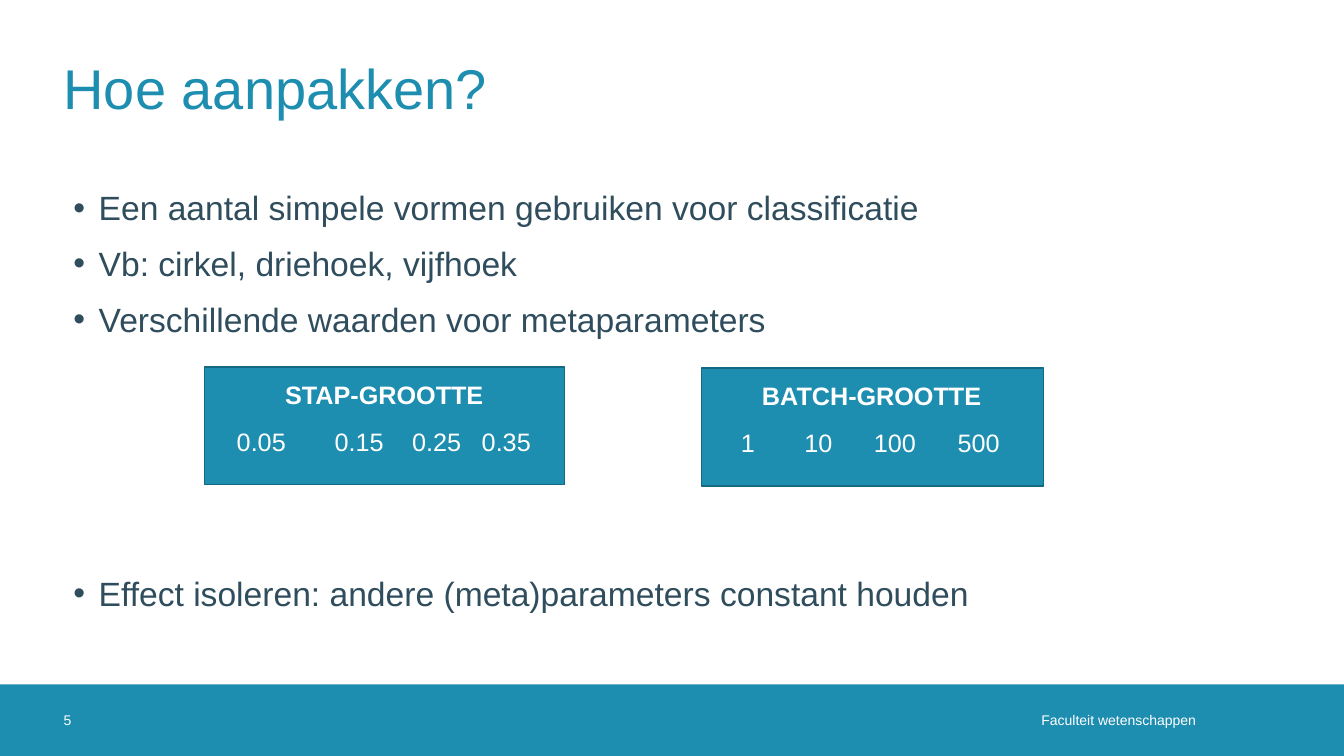
from dataclasses import dataclass

from lxml import etree
from pptx import Presentation
from pptx import util as u
from pptx.dml.color import RGBColor
from pptx.enum import shapes, text
from pptx.oxml.ns import qn

WIDE, HIGH = u.Inches(13.33), u.Inches(7.5)


@dataclass(frozen=True)
class Theme:
    font: str = "Arial"
    blue: str = "1D8DB0"
    edge: str = "156882"
    ink: str = "2F4D5D"
    white: str = "FFFFFF"
    title: int = 40
    body: int = 24
    card: int = 18
    foot: int = 10


@dataclass(frozen=True)
class Box:
    """An area in percent of the slide's width and height."""
    x: float
    y: float
    w: float
    h: float

    def inner(self, dx, dy, w, h):
        return Box(self.x + dx, self.y + dy, w, h)

    def emu(self):
        return (int(WIDE * self.x / 100), int(HIGH * self.y / 100),
                int(WIDE * self.w / 100), int(HIGH * self.h / 100))


T = Theme()
PAGE = Box(0, 0, 100, 100)


def rgb(code):
    return RGBColor.from_string(code)


def panel(slide, box, edge=None):
    rect = slide.shapes.add_shape(shapes.MSO_SHAPE.RECTANGLE, *box.emu())
    rect.shadow.inherit = False
    rect.fill.solid()
    rect.fill.fore_color.rgb = rgb(T.blue)
    if edge:
        rect.line.color.rgb = rgb(edge)
        rect.line.width = u.Pt(1)
    else:
        rect.line.fill.background()


def frame(slide, box, flush=False):
    """Add a text box; a flush one has no insets and is centred vertically."""
    tf = slide.shapes.add_textbox(*box.emu()).text_frame
    tf.word_wrap = True
    if flush:
        tf.margin_left = tf.margin_right = tf.margin_top = tf.margin_bottom = 0
        tf.vertical_anchor = text.MSO_ANCHOR.MIDDLE
    return tf


def write(para, words, size, color, bold=False):
    run = para.add_run()
    run.text = words
    run.font.name = T.font
    run.font.size = u.Pt(size)
    run.font.bold = bold
    run.font.color.rgb = rgb(color)


def bullet(para):
    props = para._p.get_or_add_pPr()
    props.set("marL", str(u.Inches(0.25)))
    props.set("indent", str(-u.Inches(0.25)))
    etree.SubElement(props, qn("a:buFont"), typeface=T.font)
    etree.SubElement(props, qn("a:buChar"), char="•")


def tabs(para, stops):
    props = para._p.get_or_add_pPr()
    row = etree.SubElement(props, qn("a:tabLst"))
    for stop in stops:
        etree.SubElement(row, qn("a:tab"), pos=str(u.Inches(stop)), algn="l")


def title(slide, box, words):
    write(frame(slide, box, True).paragraphs[0], words, T.title, T.blue)


def points(slide, box, items):
    """Write bullets, each given with the space before it in points."""
    tf = frame(slide, box)
    for i, (words, gap) in enumerate(items):
        para = tf.add_paragraph() if i else tf.paragraphs[0]
        para.space_before = u.Pt(gap)
        bullet(para)
        write(para, words, T.body, T.ink)


def card(slide, box, head, inset, values, start, stops):
    """Draw a panel with a heading and one row of tabbed values."""
    panel(slide, box, T.edge)
    label = frame(slide, box.inner(inset, 0.93, 24.23, 5.33))
    write(label.paragraphs[0], head, T.card, T.white, True)
    para = frame(slide, box.inner(start, 7.2, 24.23, 5.33)).paragraphs[0]
    tabs(para, stops)
    write(para, "\t".join(values), T.card, T.white)


def footer(slide, box, number, name):
    panel(slide, box)
    tf = frame(slide, box.inner(4.73, 0, 5.33, box.h), True)
    write(tf.paragraphs[0], number, T.foot, T.white)
    tf = frame(slide, box.inner(49.51, 0, 40.96, box.h), True)
    tf.margin_right = u.Inches(0.2)
    tf.paragraphs[0].alignment = text.PP_ALIGN.RIGHT
    write(tf.paragraphs[0], name, T.foot, T.white)


def main():
    deck = Presentation()
    deck.slide_width, deck.slide_height = WIDE, HIGH
    slide = deck.slides.add_slide(deck.slide_layouts[6])
    footer(slide, PAGE.inner(0, 90.53, 100, 9.47), "5",
           "Faculteit wetenschappen")
    title(slide, PAGE.inner(4.73, 3.07, 90.55, 16.8), "Hoe aanpakken?")
    points(slide, PAGE.inner(4.73, 24.13, 90.55, 65.07), [
        ("Een aantal simpele vormen gebruiken voor classificatie", 11),
        ("Vb: cirkel, driehoek, vijfhoek", 11),
        ("Verschillende waarden voor metaparameters", 11),
        ("Effect isoleren: andere (meta)parameters constant houden", 167),
    ])
    card(slide, PAGE.inner(15.23, 48.53, 26.78, 15.6), "STAP-GROOTTE", 5.25,
         ["0.05", "0.15", "0.25", "0.35"], 1.65, [0.97, 1.74, 2.43])
    card(slide, PAGE.inner(52.21, 48.67, 25.43, 15.6), "BATCH-GROOTTE", 3.75,
         ["1", "10", "100", "500"], 2.18, [0.63, 1.32, 2.15])
    deck.save("out.pptx")


if __name__ == "__main__":
    main()
